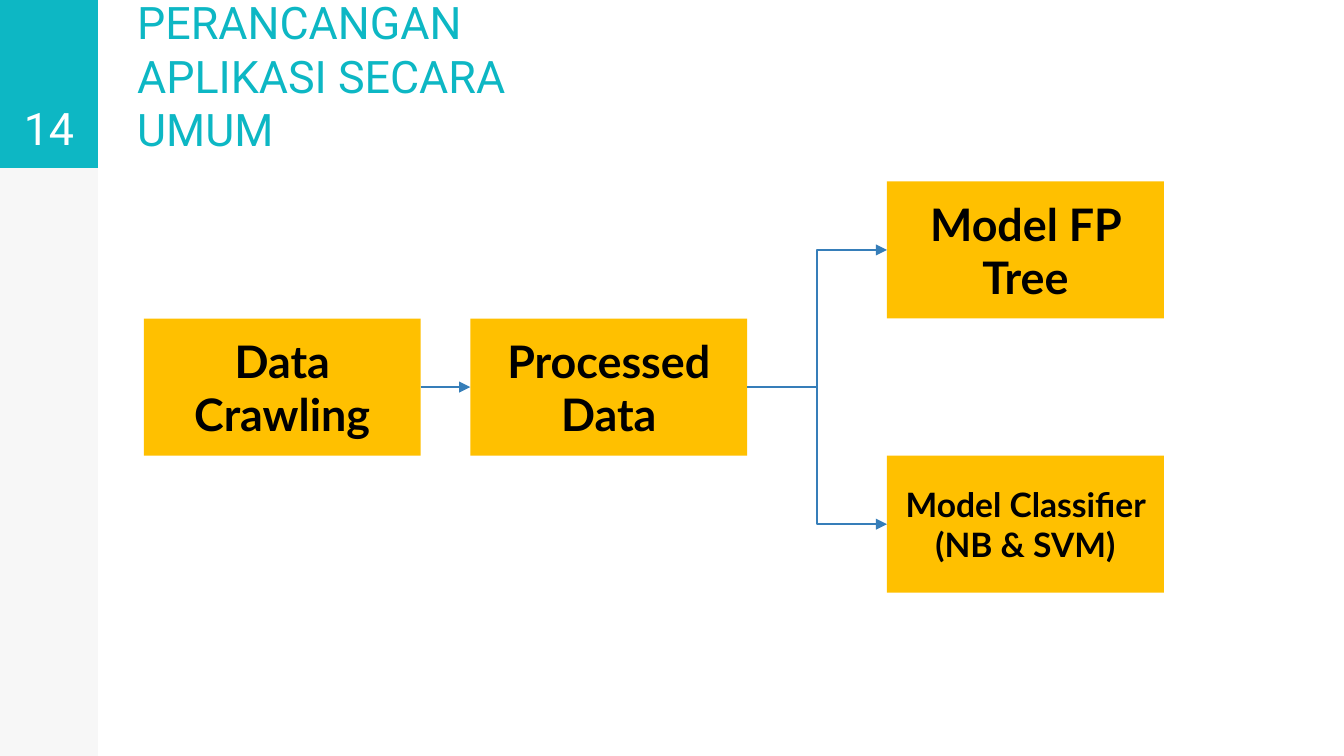
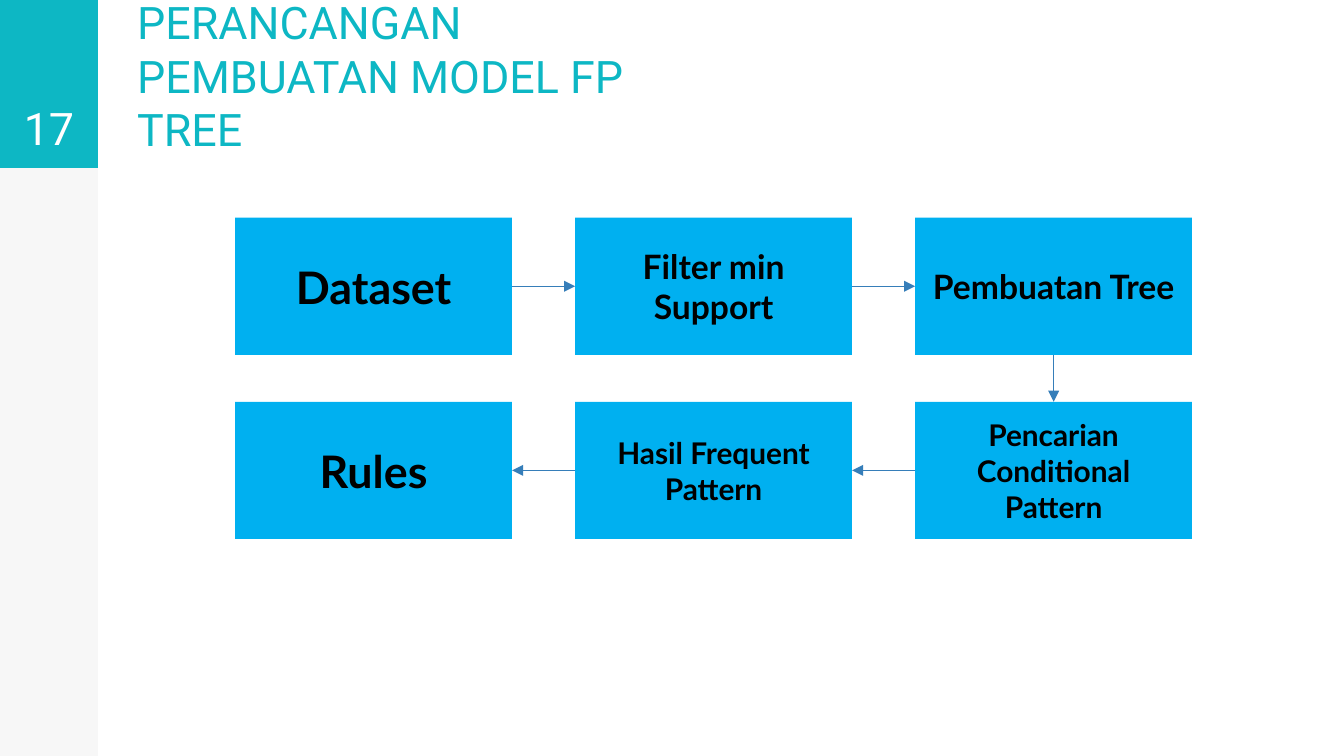
from pptx import Presentation
from pptx.dml.color import RGBColor
from pptx.enum.shapes import MSO_CONNECTOR, MSO_SHAPE
from pptx.enum.text import MSO_ANCHOR, MSO_AUTO_SIZE, PP_ALIGN
from pptx.oxml.ns import qn
from pptx.util import Inches, Pt
from lxml import etree

RECT = MSO_SHAPE.RECTANGLE
ELBOW, LINE = MSO_CONNECTOR.ELBOW, MSO_CONNECTOR.STRAIGHT
LEFT, CENTER = PP_ALIGN.LEFT, PP_ALIGN.CENTER
MIDDLE, BOTTOM = MSO_ANCHOR.MIDDLE, MSO_ANCHOR.BOTTOM
TOP_SIDE, LEFT_SIDE, LOW_SIDE, RIGHT_SIDE = range(4)  # connection sites

TEAL = RGBColor(0x0D, 0xB7, 0xC4)
WHITE = RGBColor(0xFF, 0xFF, 0xFF)
BLACK = RGBColor(0x00, 0x00, 0x00)
AMBER = RGBColor(0xFF, 0xC0, 0x00)
SKY = RGBColor(0x00, 0xB0, 0xF0)
BLUE = RGBColor(0x36, 0x7E, 0xB9)
HEAD, BODY = "Roboto", "Lato"

WIDE, HIGH = 10, 5.625
BAND = 0.73          # width of the side band
TOP = 1.25           # height of the header row
BOX_W, BOX_H = 2.06, 1.02


def inches(*box):
    return [Inches(n) for n in box]


def write(shape, text, font=BODY, size=24, color=BLACK, bold=False,
          align=CENTER, anchor=MIDDLE, pad=None):
    frame = shape.text_frame
    frame.word_wrap = True
    frame.auto_size = MSO_AUTO_SIZE.NONE
    frame.vertical_anchor = anchor
    if pad is not None:
        frame.margin_left = frame.margin_right = Inches(pad)
        frame.margin_top = frame.margin_bottom = Inches(pad)
    frame.text = text
    para = frame.paragraphs[0]
    para.alignment = align
    para.font.name, para.font.size = font, Pt(size)
    para.font.color.rgb, para.font.bold = color, bold


def block(slide, box, color, alpha=None):
    shape = slide.shapes.add_shape(RECT, *inches(*box))
    shape.shadow.inherit = False
    shape.fill.solid()
    shape.fill.fore_color.rgb = color
    shape.line.fill.background()
    if alpha is not None:
        tint = shape.fill._xPr.find(qn("a:solidFill"))[0]
        etree.SubElement(tint, qn("a:alpha"), val=str(alpha * 1000))
    return shape


def frame_slide(deck, title, number, width):
    """Side band, page number and title."""
    slide = deck.slides.add_slide(deck.slide_layouts[5])
    block(slide, (0, 0, BAND, HIGH), BLACK, alpha=3)
    block(slide, (0, 0, BAND, TOP), TEAL)
    head = slide.shapes.title
    head.left, head.top, head.width, head.height = inches(0.92, 0.01, width, TOP)
    write(head, title, font=HEAD, color=TEAL, align=LEFT, anchor=BOTTOM, pad=0.1)
    page = slide.shapes.add_textbox(*inches(0, 0, BAND, TOP))
    write(page, number, font=HEAD, color=WHITE, anchor=BOTTOM, pad=0.1)
    return slide


def step(slide, left, top, text, color, size=24):
    shape = block(slide, (left, top, BOX_W, BOX_H), color)
    write(shape, text, size=size, bold=True)
    return shape


def arrow(slide, start, end, out=RIGHT_SIDE, into=LEFT_SIDE, kind=ELBOW):
    link = slide.shapes.add_connector(kind, 0, 0, 0, 0)
    link.begin_connect(start, out)
    link.end_connect(end, into)
    link.line.color.rgb, link.line.width = BLUE, Pt(0.75)
    etree.SubElement(link.line._get_or_add_ln(), qn("a:tailEnd"), type="triangle")
    etree.SubElement(link._element.spPr, qn("a:effectLst"))


def overview(slide, left, top):
    """Two steps in the middle row that fork into two models."""
    cols = [left, left + 2.43, left + 5.53]
    rows = [top + i * BOX_H for i in range(3)]
    crawl = step(slide, cols[0], rows[1], "Data Crawling", AMBER)
    data = step(slide, cols[1], rows[1], "Processed Data", AMBER)
    tree = step(slide, cols[2], rows[0], "Model FP Tree", AMBER)
    sorter = step(slide, cols[2], rows[2], "Model Classifier (NB & SVM)", AMBER, 18)
    for start, end in [(crawl, data), (data, tree), (data, sorter)]:
        arrow(slide, start, end)


def tree_flow(slide, left, top):
    """Upper row runs right, lower row runs back left."""
    grid = [
        [("Dataset", 24), ("Filter min Support", 18), ("Pembuatan Tree", 18)],
        [("Rules", 24), ("Hasil Frequent Pattern", 16),
         ("Pencarian Conditional Pattern", 16)],
    ]
    upper, lower = [
        [step(slide, left + c * 2.53, top + r * 1.37, text, SKY, size)
         for c, (text, size) in enumerate(row)]
        for r, row in enumerate(grid)
    ]
    for start, end in zip(upper, upper[1:]):
        arrow(slide, start, end)
    arrow(slide, upper[-1], lower[-1], LOW_SIDE, TOP_SIDE, LINE)
    for end, start in zip(lower, lower[1:]):
        arrow(slide, start, end, LEFT_SIDE, RIGHT_SIDE, LINE)


def main():
    deck = Presentation()
    deck.slide_width, deck.slide_height = inches(WIDE, HIGH)
    slide = frame_slide(deck, "PERANCANGAN APLIKASI SECARA UMUM", "14", 3.89)
    overview(slide, 1.07, 1.35)
    slide = frame_slide(deck, "PERANCANGAN PEMBUATAN MODEL FP TREE", "17", 4.63)
    tree_flow(slide, 1.75, 1.62)
    deck.save("out.pptx")


if __name__ == "__main__":
    main()
